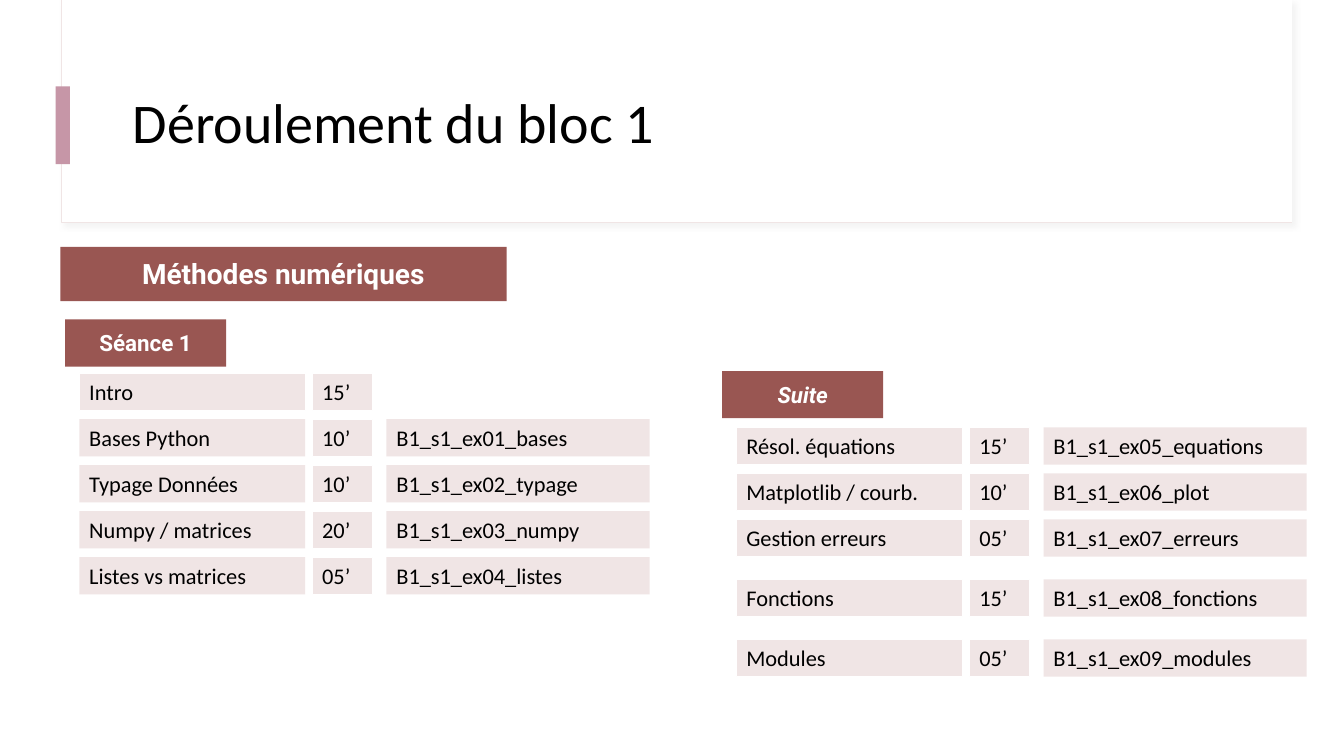
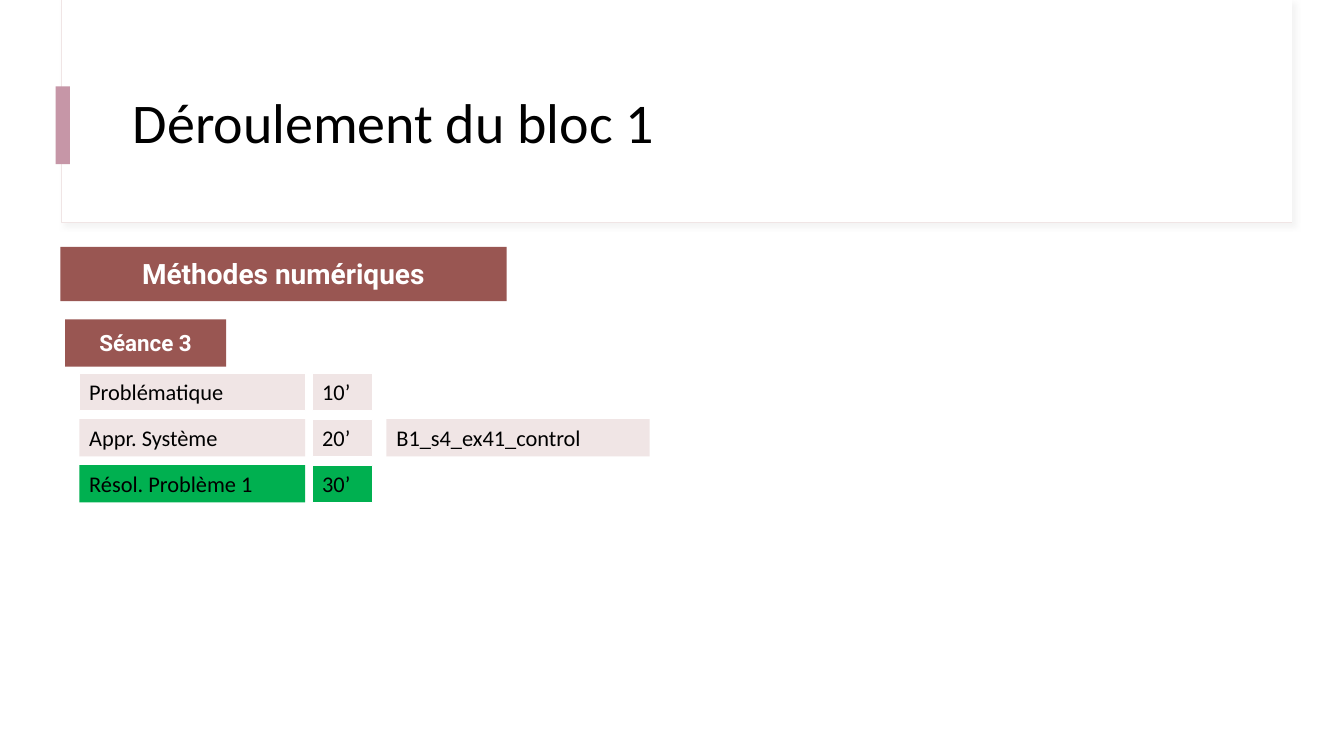
from dataclasses import dataclass

from lxml.etree import SubElement
from pptx import Presentation
from pptx.dml.color import RGBColor
from pptx.enum.shapes import MSO_SHAPE
from pptx.enum.text import MSO_ANCHOR, MSO_AUTO_SIZE, PP_ALIGN
from pptx.oxml.ns import qn
from pptx.shapes.autoshape import Shape
from pptx.slide import Slide
from pptx.util import Cm, Pt

COLORS = {
    "white": "FFFFFF",
    "black": "000000",
    "pale": "F0E5E5",
    "mauve": "C696A7",
    "brick": "995652",
    "green": "00B050",
    "shadow": "D9D9D9",
}
BODY_FONT, HEADING_FONT = "Calibri", "Roboto"

# Grid of a session, in centimetres
ROW_PITCH, ROW_HEIGHT = 1.16, 0.94
LABEL_WIDTH, MINUTES_WIDTH, FILE_WIDTH = 5.69, 1.52, 6.63
MINUTES_OFFSET, FILE_OFFSET, HEADING_OFFSET = 5.87, 7.74, -0.36


@dataclass
class Row:
    label: str
    minutes: str
    file: str = ""
    color: str = "pale"
    extra_gap: float = 0


@dataclass
class Session:
    heading: str
    left: float
    heading_top: float
    rows_top: float
    rows: list[Row]
    framed_labels: int = 1
    italic: bool = False


@dataclass
class TextStyle:
    size: float
    color: str = "black"
    font: str = BODY_FONT
    bold: bool = False
    italic: bool = False


def color_of(name: str) -> RGBColor:
    return RGBColor.from_string(COLORS[name])


def add_box(page: Slide, left: float, top: float, width: float, height: float,
            fill: str, line: str = "") -> Shape:
    box = page.shapes.add_shape(MSO_SHAPE.RECTANGLE, Cm(left), Cm(top), Cm(width), Cm(height))
    box.shadow.inherit = False
    box.fill.solid()
    box.fill.fore_color.rgb = color_of(fill)
    if line:
        box.line.color.rgb = color_of(line)
        box.line.width = Pt(0.75)
    else:
        box.line.fill.background()
    return box


def write(box: Shape, text: str, style: TextStyle, align: PP_ALIGN = PP_ALIGN.LEFT) -> None:
    frame = box.text_frame
    frame.text = text
    frame.word_wrap = True
    para = frame.paragraphs[0]
    para.alignment = align
    for span in para.runs:
        span.font.name = style.font
        span.font.size = Pt(style.size)
        span.font.bold = style.bold
        span.font.italic = style.italic
        span.font.color.rgb = color_of(style.color)


def add_soft_shadow(box: Shape) -> None:
    effects = box._element.spPr.find(qn("a:effectLst"))
    shadow = SubElement(effects, qn("a:outerShdw"), blurRad=str(Pt(4)), dist=str(Pt(3)),
                        dir="2700000", algn="tl", rotWithShape="0")
    tint = SubElement(shadow, qn("a:srgbClr"), val=COLORS["shadow"])
    SubElement(tint, qn("a:alpha"), val="30000")


def add_heading(page: Slide, text: str, left: float, top: float, width: float, height: float,
                size: float, italic: bool = False) -> None:
    box = add_box(page, left, top, width, height, "brick")
    frame = box.text_frame
    frame.margin_top = frame.margin_bottom = Cm(0.25)
    frame.vertical_anchor = MSO_ANCHOR.TOP
    frame.auto_size = MSO_AUTO_SIZE.SHAPE_TO_FIT_TEXT
    write(box, text, TextStyle(size, "white", HEADING_FONT, True, italic), PP_ALIGN.CENTER)


def add_cell(page: Slide, text: str, left: float, top: float, width: float,
             color: str, framed: bool) -> None:
    box = add_box(page, left, top, width, ROW_HEIGHT, color, "white" if framed else "")
    box.text_frame.vertical_anchor = MSO_ANCHOR.TOP
    box.text_frame.auto_size = MSO_AUTO_SIZE.SHAPE_TO_FIT_TEXT
    write(box, text, TextStyle(16))


def add_session(page: Slide, session: Session) -> None:
    left = session.left
    add_heading(page, session.heading, left + HEADING_OFFSET, session.heading_top,
                4.06, 1.19, 16, session.italic)
    top = session.rows_top
    for index, row in enumerate(session.rows):
        top += row.extra_gap
        add_cell(page, row.label, left, top, LABEL_WIDTH, row.color,
                 index < session.framed_labels)
        add_cell(page, row.minutes, left + MINUTES_OFFSET, top, MINUTES_WIDTH, row.color, True)
        if row.file:
            add_cell(page, row.file, left + FILE_OFFSET, top, FILE_WIDTH, row.color, False)
        top += ROW_PITCH


def add_page(deck: Presentation, title: str, subject: str, sessions: list[Session]) -> None:
    page = deck.slides.add_slide(deck.slide_layouts[6])
    # Title band and accent
    add_soft_shadow(add_box(page, 1.55, 0, 31.01, 5.61, "white", "pale"))
    add_box(page, 1.57, 0, 30.99, 5.59, "white")
    add_box(page, 1.4, 2.18, 0.36, 1.96, "mauve")
    # Title
    title_box = page.shapes.add_textbox(Cm(3.1), Cm(1.52), Cm(28.24), Cm(3.28))
    title_box.text_frame.vertical_anchor = MSO_ANCHOR.MIDDLE
    write(title_box, title, TextStyle(40))
    title_box.text_frame.paragraphs[0].line_spacing = 0.9
    # Subject and its sessions
    add_heading(page, subject, 1.52, 6.22, 11.25, 1.37, 20)
    for session in sessions:
        add_session(page, session)


PAGES = [
    [
        Session("Séance 1", 2, 8.05, 9.4, [
            Row("Intro", "15’"),
            Row("Bases Python", "10’", "B1_s1_ex01_bases"),
            Row("Typage Données", "10’", "B1_s1_ex02_typage"),
            Row("Numpy / matrices", "20’", "B1_s1_ex03_numpy"),
            Row("Listes vs matrices", "05’", "B1_s1_ex04_listes"),
        ]),
        Session("Suite", 18.56, 9.35, 10.77, [
            Row("Résol. équations", "15’", "B1_s1_ex05_equations"),
            Row("Matplotlib / courb.", "10’", "B1_s1_ex06_plot"),
            Row("Gestion erreurs", "05’", "B1_s1_ex07_erreurs"),
            Row("Fonctions", "15’", "B1_s1_ex08_fonctions", extra_gap=0.35),
            Row("Modules", "05’", "B1_s1_ex09_modules", extra_gap=0.35),
        ], framed_labels=5, italic=True),
    ],
    [
        Session("Séance 3", 2, 8.05, 9.4, [
            Row("Problématique", "10’"),
            Row("Appr. Système", "20’", "B1_s4_ex41_control"),
            Row("Résol. Problème 1", "30’", color="green"),
        ]),
    ],
]


def main() -> None:
    deck = Presentation()
    deck.slide_width, deck.slide_height = Cm(33.87), Cm(19.05)
    for sessions in PAGES:
        add_page(deck, "Déroulement du bloc 1", "Méthodes numériques", sessions)
    deck.save("out.pptx")


if __name__ == "__main__":
    main()
